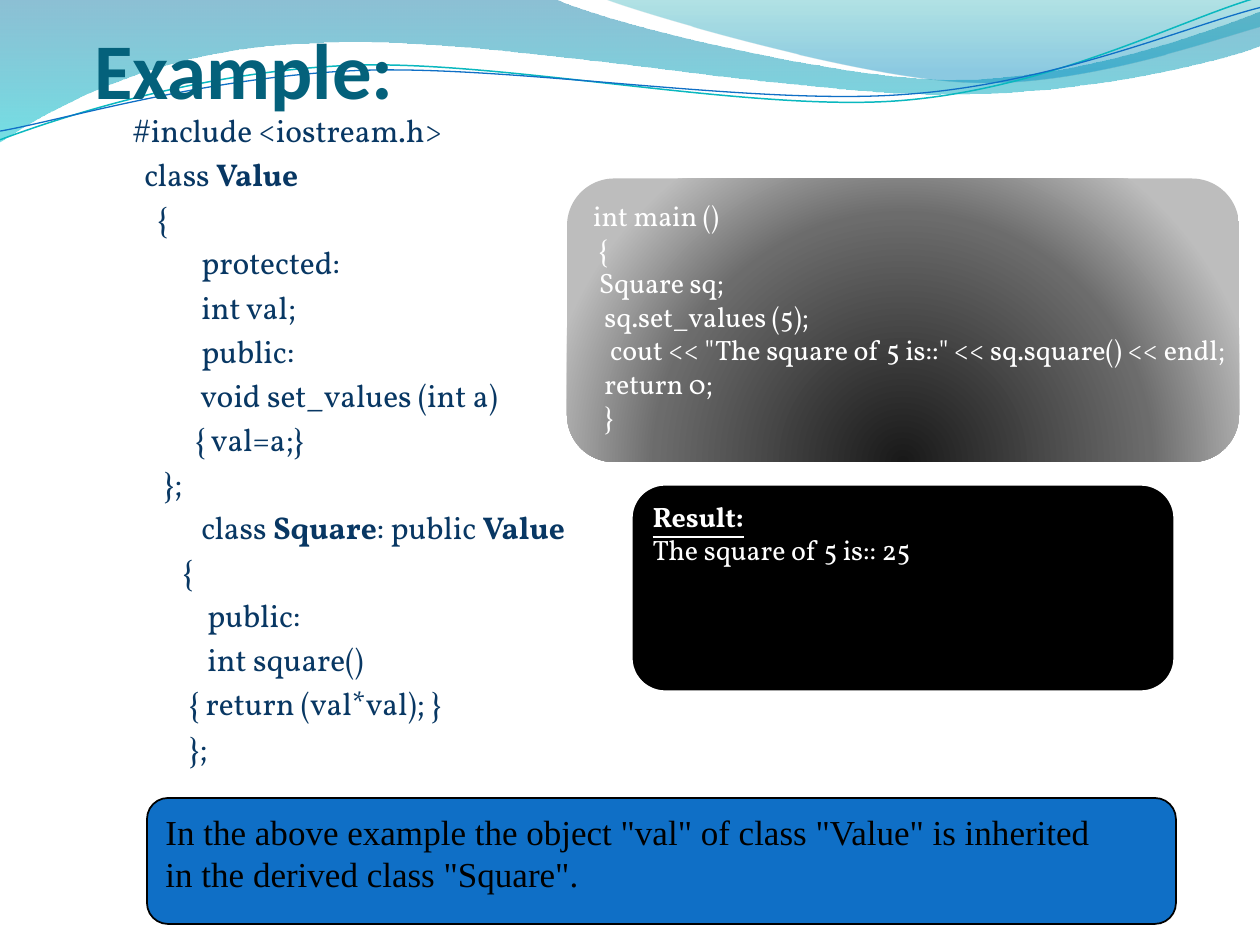
from lxml import etree
from pptx import Presentation
from pptx import util as u
from pptx.dml.color import RGBColor
from pptx.enum import shapes, text
from pptx.oxml.ns import qn

NAVY, TEAL, BLUE, WHITE, BLACK = "083763", "04617B", "0F6FC6", "FFFFFF", "000000"
CODE_FONT = "Vollkorn"

# Each wave is a start point, then curves (six numbers) or straight lines (two).
WAVE_BANDS = [
    ([(0, 0), (316.8, -0.7), (342.7, 12.2, 478.1, 45.4, 545.8, 45.4),
      (614.2, 45.4, 689.8, 18.7, 720, 6.5), (720.7, 25.9),
      (707.8, 31.7, 626.4, 54.7, 537.1, 54), (447.8, 54, 275, 20.2, 185, 24.5),
      (92.9, 25.9, 33.1, 59.8, -0.7, 81.4)],
     [(0, "0074A1", 45), (100, "00C6CF", 55)]),
    ([(344.9, -0.7), (366.5, 7.9, 491, 44.6, 553.7, 46.8),
      (616.3, 49.7, 691.9, 23, 720, 15.1), (720, 0)],
     [(0, "00A1A9", 30), (80, "008BBF", 45)]),
]
WAVE_LINES = [
    ([(0, 79.9), (34.6, 67, 113.8, 41, 199.4, 37.4),
      (284.4, 33.8, 427, 64.1, 513.4, 57.6),
      (599.8, 51.1, 675.4, 10.8, 718.6, -1.4)], "0AB8BF", 0.85),
    ([(0, 74.9), (33.8, 69.1, 118.1, 43.9, 203.8, 40.3),
      (290.2, 36.7, 429.8, 60.5, 516.2, 54),
      (601.9, 48.2, 677.5, 15.1, 720, 4.3)], BLUE, 0.75),
]

# Code lines: indent in points, then text; ** marks the start and end of bold.
CLASS_CODE = [
    (14.5, "#include <iostream.h>"), (21.5, "class **Value**"), (29, "{"),
    (54, "protected:"), (54, "int val;"), (54, "public:"),
    (53.5, "void set_values (int a)"), (50.5, "{ val=a;}"), (32.5, "};"),
    (54, "class **Square**: public **Value**"), (43.5, "{"),
    (57.5, "public:"), (57.5, "int square()"),
    (47, "{ return (val*val); }"), (47, "};"),
]
MAIN_CODE = [
    (0, "int main ()"), (3.2, "{"), (3.2, "Square sq;"), (6.4, "sq.set_values (5);"),
    (9.6, 'cout << "The square of 5 is::" << sq.square() << endl;'),
    (6.4, "return 0;"), (6.4, "}"),
]
SUMMARY = [
    'In the above example the object "val" of class "Value" is inherited',
    'in the derived class "Square".',
]


def color(value):
    return RGBColor.from_string(value)


def set_gradient(shape, stops, center=None):
    """Fill with (position, colour, opacity) stops, downward or round a centre rectangle."""
    gradient = etree.Element(qn("a:gradFill"), rotWithShape="1")
    stop_list = etree.SubElement(gradient, qn("a:gsLst"))
    for position, value, opacity in stops:
        stop = etree.SubElement(stop_list, qn("a:gs"), pos=str(position * 1000))
        tint = etree.SubElement(stop, qn("a:srgbClr"), val=value)
        if opacity < 100:
            etree.SubElement(tint, qn("a:alpha"), val=str(opacity * 1000))
    if center:
        circle = etree.SubElement(gradient, qn("a:path"), path="circle")
        sides = {side: str(share * 1000) for side, share in zip("ltrb", center)}
        etree.SubElement(circle, qn("a:fillToRect"), **sides)
    else:
        etree.SubElement(gradient, qn("a:lin"), ang="5400000", scaled="1")
    shape.fill.solid()
    solid = shape.element.spPr.find(qn("a:solidFill"))
    solid.getparent().replace(solid, gradient)


def bend(wave, parts):
    """Join the three straight segments of each curved part into one Bézier curve."""
    segments = iter(list(wave.element.iter(qn("a:lnTo"))))
    for part in parts:
        segment = next(segments)
        if len(part) == 6:
            curve = etree.Element(qn("a:cubicBezTo"))
            segment.addprevious(curve)
            for corner in (segment, next(segments), next(segments)):
                curve.append(corner[0])
                corner.getparent().remove(corner)


def add_wave(page, outline, closed):
    points = [(u.Pt(part[i]), u.Pt(part[i + 1]))
              for part in outline for i in range(0, len(part), 2)]
    builder = page.shapes.build_freeform(*points[0])
    builder.add_line_segments(points[1:], close=closed)
    wave = builder.convert_to_shape()
    bend(wave, outline[1:])
    wave.shadow.inherit = False
    return wave


def add_waves(page):
    for outline, stops in WAVE_BANDS:
        band = add_wave(page, outline, True)
        set_gradient(band, stops)
        band.line.fill.background()
    for outline, value, width in WAVE_LINES:
        line = add_wave(page, outline, False)
        line.fill.background()
        line.line.color.rgb = color(value)
        line.line.width = u.Pt(width)


def write(para, content, font=CODE_FONT, size=16, value=WHITE, bold=False,
          underline=False, indent=0, before=0):
    """Write one paragraph; ** switches bold on and off."""
    para.alignment = text.PP_ALIGN.LEFT
    para.space_before = u.Pt(before)
    if indent:
        para._p.get_or_add_pPr().set("marL", str(u.Pt(indent)))
    for index, piece in enumerate(content.split("**")):
        if piece:
            span = para.add_run()
            span.text = piece
            span.font.name = font
            span.font.size = u.Pt(size)
            span.font.color.rgb = color(value)
            span.font.bold = bold or index % 2 == 1
            span.font.underline = underline


def next_para(frame):
    """Return the empty first paragraph, or a new one."""
    first = frame.paragraphs[0]
    return frame.add_paragraph() if first.runs else first


def write_code(frame, lines, **format):
    for indent, content in lines:
        write(next_para(frame), content, indent=indent, **format)


def add_panel(page, left, top, width, height, fill=None, line=None, weight=1):
    panel = page.shapes.add_shape(shapes.MSO_SHAPE.ROUNDED_RECTANGLE,
                                  u.Pt(left), u.Pt(top), u.Pt(width), u.Pt(height))
    panel.shadow.inherit = False
    if fill:
        panel.fill.solid()
        panel.fill.fore_color.rgb = color(fill)
    if line:
        panel.line.color.rgb = color(line)
        panel.line.width = u.Pt(weight)
    else:
        panel.line.fill.background()
    panel.text_frame.word_wrap = False
    panel.text_frame.vertical_anchor = text.MSO_ANCHOR.TOP
    return panel


def place_title(page, content):
    title = page.shapes.title
    title.element.getparent().append(title.element)  # in front of the waves
    title.left, title.top, title.width, title.height = map(u.Pt, (54, 6, 612, 60))
    frame = title.text_frame
    frame.margin_left = frame.margin_right = frame.margin_bottom = 0
    frame.vertical_anchor = text.MSO_ANCHOR.BOTTOM
    write(frame.paragraphs[0], content, font="Calibri", size=45, value=TEAL, bold=True)


def main():
    deck = Presentation()
    deck.slide_width, deck.slide_height = u.Pt(720), u.Pt(540)
    page = deck.slides.add_slide(deck.slide_layouts[5])
    add_waves(page)
    place_title(page, "Example:")

    box = page.shapes.add_textbox(u.Pt(54), u.Pt(60), u.Pt(354), u.Pt(462))
    box.text_frame.word_wrap = True
    write_code(box.text_frame, CLASS_CODE, size=18, value=NAVY, before=3.6)

    program = add_panel(page, 324, 102, 384, 162)
    set_gradient(program, [(0, "191919", 100), (68, "6C6C6C", 100), (100, "BDBDBD", 100)],
                 center=(50, 130, 50, -30))
    write_code(program.text_frame, MAIN_CODE)

    result = add_panel(page, 360, 276, 312, 120, fill=BLACK, line=WHITE, weight=3)
    write(next_para(result.text_frame), "Result:", bold=True, underline=True)
    write(next_para(result.text_frame), "The square of 5 is:: 25")

    summary = add_panel(page, 84, 456, 588, 72, fill=BLUE, line=BLACK)
    for content in SUMMARY:
        write(next_para(summary.text_frame), content,
              font="Times New Roman", size=20, value=BLACK)
    deck.save("out.pptx")


if __name__ == "__main__":
    main()
